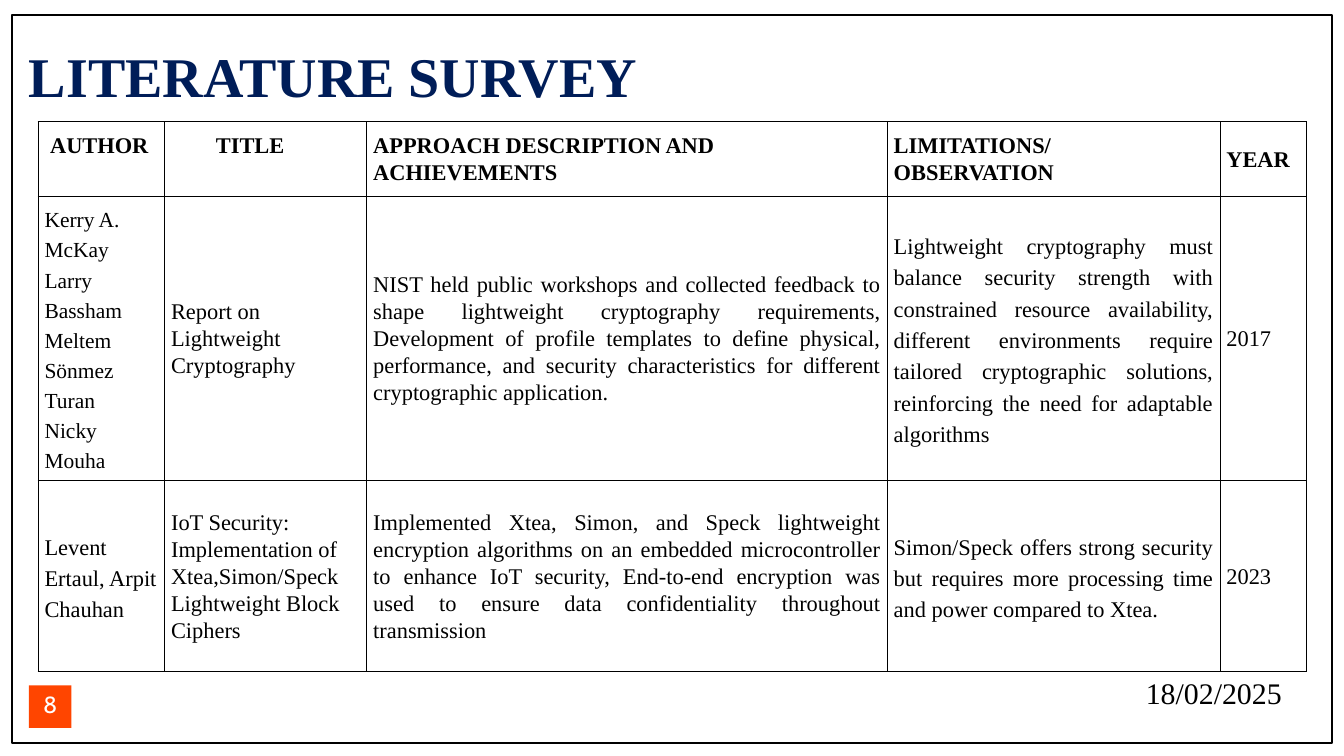
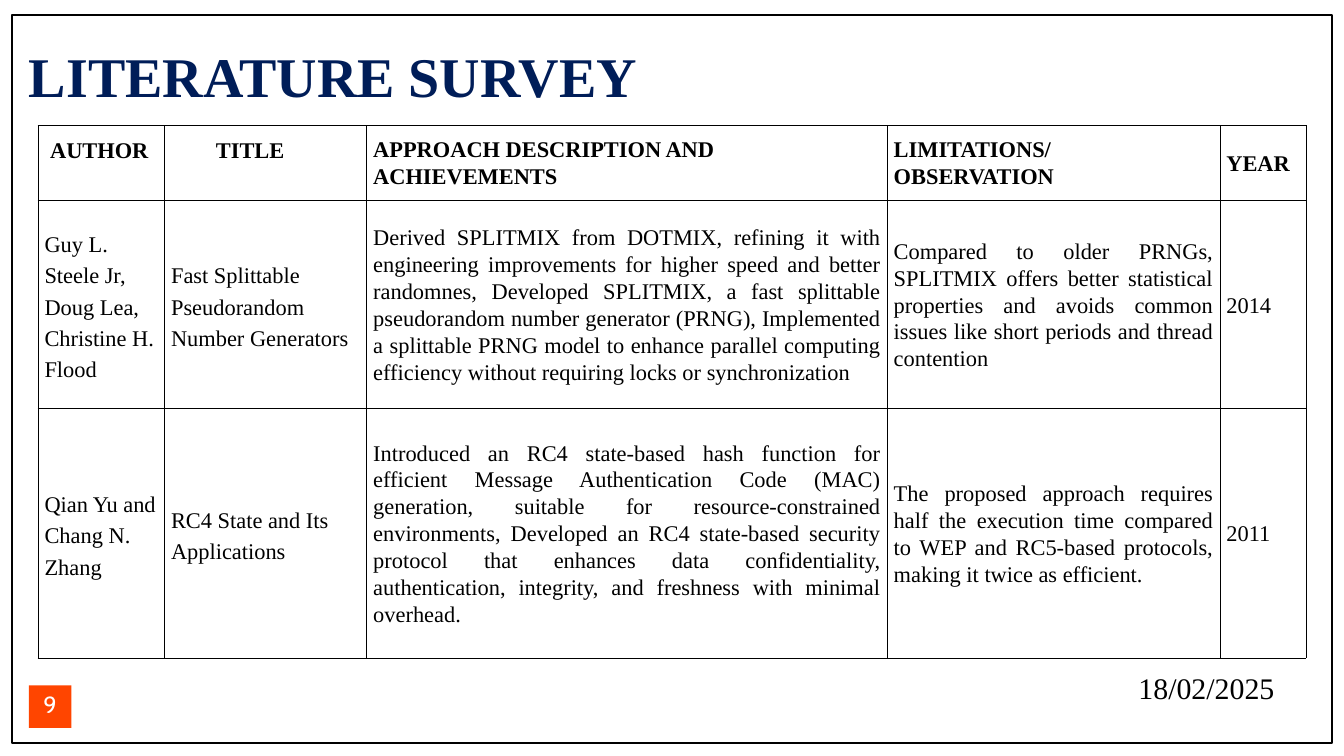
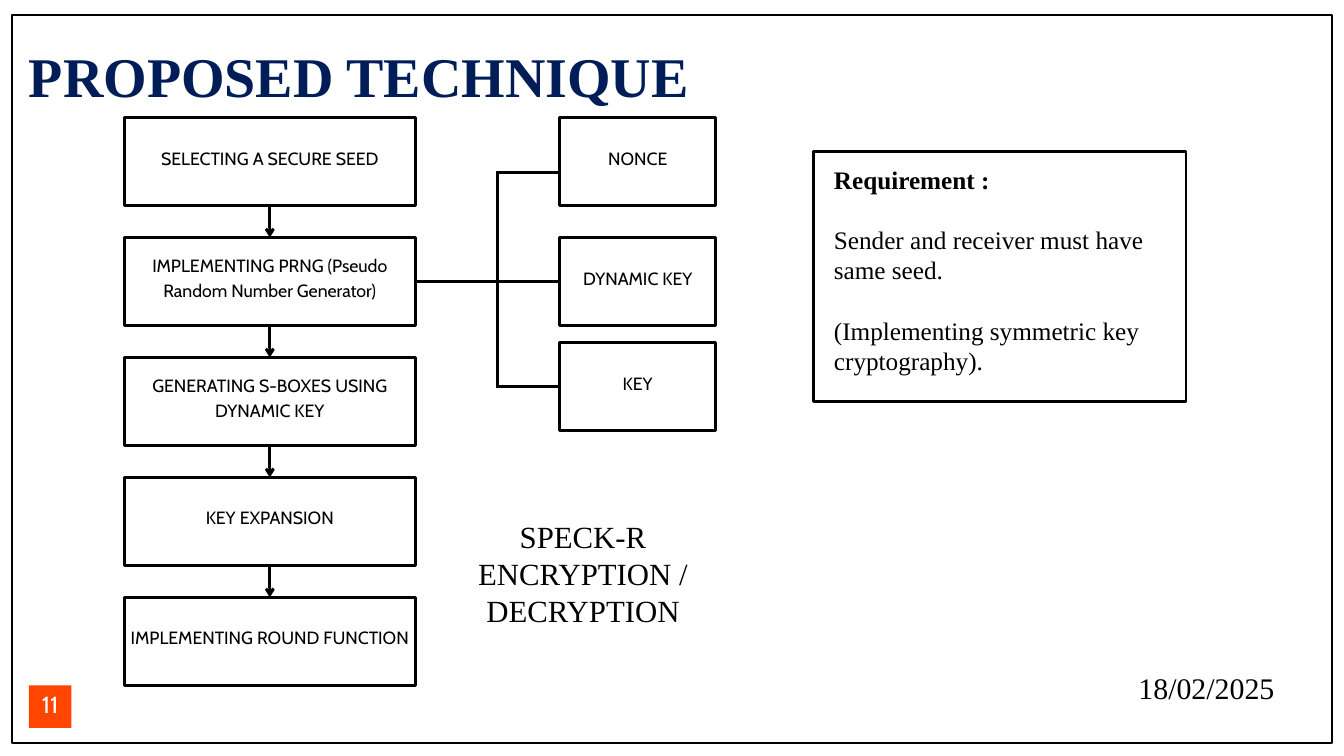
from collections import namedtuple
from itertools import pairwise

from lxml import etree
from pptx import Presentation
from pptx.dml.color import RGBColor
from pptx.enum.shapes import MSO_CONNECTOR, MSO_SHAPE
from pptx.enum.text import MSO_ANCHOR, MSO_AUTO_SIZE, PP_ALIGN
from pptx.oxml.ns import qn
from pptx.util import Pt

BLACK = RGBColor(0x00, 0x00, 0x00)
WHITE = RGBColor(0xFF, 0xFF, 0xFF)
NAVY = RGBColor(0x00, 0x1D, 0x58)
ORANGE = RGBColor(0xFF, 0x45, 0x00)
SERIF = "Times New Roman"
SANS = "Cabin"

TIGHT, LOOSE = 1.2, 1.4  # line pitch as a multiple of the font size
DATE = "18/02/2025"
DATE_POSITION = (1217.7, 711.4)

COLUMN_WIDTHS = (135.6, 216.6, 557.7, 356.4, 92.4)
JUSTIFIED_COLUMNS = (2, 3)
HEADINGS = (
    "AUTHOR",
    "TITLE",
    "APPROACH DESCRIPTION AND ACHIEVEMENTS",
    "LIMITATIONS/\nOBSERVATION",
    "YEAR",
)
HEADING_INDENTS = {0: 6, 1: 48}
CELL_MARGIN = 7.2

BOX_HEIGHT = 94.3
FLOW_LEFT, FLOW_WIDTH = 133.2, 311.8
FLOW_TOP, FLOW_STEP = 126, 128.5
OUTPUT_LEFT, OUTPUT_WIDTH = 599.8, 167
TRUNK_X = 532.8

Cell = namedtuple("Cell", "text leading size", defaults=(TIGHT, 24))

CRYPTOGRAPHY_PAPERS = [
    [
        Cell("Kerry A. McKay\nLarry Bassham\nMeltem Sönmez Turan\nNicky Mouha", LOOSE, 23),
        Cell("Report on Lightweight Cryptography"),
        Cell("NIST held public workshops and collected feedback to shape lightweight "
             "cryptography requirements, Development of profile templates to define "
             "physical, performance, and security characteristics for different "
             "cryptographic application."),
        Cell("Lightweight cryptography must balance security strength with constrained "
             "resource availability, different environments require tailored "
             "cryptographic solutions, reinforcing the need for adaptable algorithms", LOOSE),
        Cell("2017"),
    ],
    [
        Cell("Levent Ertaul, Arpit Chauhan", LOOSE),
        Cell("IoT Security: Implementation of Xtea,Simon/Speck Lightweight Block Ciphers"),
        Cell("Implemented Xtea, Simon, and Speck lightweight encryption algorithms on an "
             "embedded microcontroller to enhance IoT security, End-to-end encryption was "
             "used to ensure data confidentiality throughout transmission"),
        Cell("Simon/Speck offers strong security but requires more processing time and "
             "power compared to Xtea.", LOOSE),
        Cell("2023"),
    ],
]

GENERATOR_PAPERS = [
    [
        Cell("Guy L. Steele Jr,\nDoug Lea,\nChristine H. Flood", LOOSE),
        Cell("Fast Splittable Pseudorandom Number Generators", LOOSE),
        Cell("Derived SPLITMIX from DOTMIX, refining it with engineering improvements for "
             "higher speed and better randomnes, Developed SPLITMIX, a fast splittable "
             "pseudorandom number generator (PRNG), Implemented a splittable PRNG model to "
             "enhance parallel computing efficiency without requiring locks or "
             "synchronization"),
        Cell("Compared to older PRNGs, SPLITMIX offers better statistical properties and "
             "avoids common issues like short periods and thread contention"),
        Cell("2014"),
    ],
    [
        Cell("Qian Yu and Chang N. Zhang", LOOSE),
        Cell("RC4 State and Its Applications", LOOSE),
        Cell("Introduced an RC4 state-based hash function for efficient Message "
             "Authentication Code (MAC) generation, suitable for resource-constrained "
             "environments, Developed an RC4 state-based security protocol that enhances "
             "data confidentiality, authentication, integrity, and freshness with minimal "
             "overhead."),
        Cell("The proposed approach requires half the execution time compared to WEP and "
             "RC5-based protocols, making it twice as efficient."),
        Cell("2011"),
    ],
]

FLOW_STEPS = (
    "SELECTING A SECURE SEED",
    "IMPLEMENTING PRNG (Pseudo Random Number Generator)",
    "GENERATING S-BOXES USING DYNAMIC KEY",
    "KEY EXPANSION",
    "IMPLEMENTING ROUND FUNCTION",
)
# label, top of its box, height at which its branch arrives
OUTPUTS = (("NONCE", 126, 185), ("DYNAMIC KEY", 254.5, 301.65), ("KEY", 367.2, 414.35))


def write_text(text_frame, text, size, font=SERIF, color=BLACK, leading=TIGHT,
               align=PP_ALIGN.LEFT, bold=False):
    text_frame.text = text
    text_frame.word_wrap = True
    for paragraph in text_frame.paragraphs:
        paragraph.alignment = align
        paragraph.line_spacing = Pt(round(size * leading, 1))
        for run in paragraph.runs:
            run.font.name = font
            run.font.size = Pt(size)
            run.font.bold = bold
            run.font.color.rgb = color


def set_margins(target, left, top, right, bottom):
    """Set the inner margins of a text frame or a table cell."""
    target.margin_left, target.margin_top = Pt(left), Pt(top)
    target.margin_right, target.margin_bottom = Pt(right), Pt(bottom)


def add_box(slide, left, top, width, height, fill=None, line_width=None):
    box = slide.shapes.add_shape(
        MSO_SHAPE.RECTANGLE, Pt(left), Pt(top), Pt(width), Pt(height))
    box.shadow.inherit = False
    if fill is None:
        box.fill.background()
    else:
        box.fill.solid()
        box.fill.fore_color.rgb = fill
    if line_width is None:
        box.line.fill.background()
    else:
        box.line.color.rgb = BLACK
        box.line.width = Pt(line_width)
    return box


def add_text(slide, text, left, top, width, height, size, leading):
    text_box = slide.shapes.add_textbox(Pt(left), Pt(top), Pt(width), Pt(height))
    set_margins(text_box.text_frame, 0, 0, 0, 0)
    write_text(text_box.text_frame, text, size, leading=leading, align=PP_ALIGN.CENTER)


def add_line(slide, start, end, arrow=False):
    line = slide.shapes.add_connector(
        MSO_CONNECTOR.STRAIGHT, *(Pt(length) for length in (*start, *end)))
    line.line.color.rgb = BLACK
    line.line.width = Pt(3)
    properties = line.line._get_or_add_ln()
    if arrow:
        etree.SubElement(properties, qn("a:tailEnd"), type="arrow")
    etree.SubElement(line._element.spPr, qn("a:effectLst"))


def add_page(presentation, title, number, date_position=DATE_POSITION):
    """Add a slide with the frame, title, page badge and date that all share."""
    slide = presentation.slides.add_slide(presentation.slide_layouts[5])
    add_box(slide, 13, 15.8, 1414, 780, line_width=2.25)

    heading = slide.shapes.title
    heading.left, heading.top, heading.width, heading.height = Pt(31), Pt(8), Pt(1100), Pt(108.7)
    frame = heading.text_frame
    frame.auto_size = MSO_AUTO_SIZE.NONE
    frame.vertical_anchor = MSO_ANCHOR.BOTTOM
    set_margins(frame, 0, 0, 0, 0)
    write_text(frame, title, 60, color=NAVY, bold=True)

    badge = add_box(slide, 31, 734.4, 45.4, 45.4, fill=ORANGE).text_frame
    badge.vertical_anchor = MSO_ANCHOR.MIDDLE
    set_margins(badge, 4.3, 0, 4.3, 10)
    write_text(badge, number, 25, SANS, WHITE, LOOSE, PP_ALIGN.CENTER)

    add_text(slide, DATE, *date_position, 150, 47.5, 32, LOOSE)
    return slide


def add_cell_borders(cell):
    properties = cell._tc.get_or_add_tcPr()
    for side in ("lnL", "lnR", "lnT", "lnB"):
        border = etree.SubElement(properties, qn(f"a:{side}"), w=str(Pt(0.37)))
        fill = etree.SubElement(border, qn("a:solidFill"))
        etree.SubElement(fill, qn("a:srgbClr"), val=str(BLACK))


def add_survey_table(slide, papers, top, row_heights):
    rows = [[Cell(heading) for heading in HEADINGS], *papers]
    table = slide.shapes.add_table(
        len(rows), len(HEADINGS), Pt(40.5), Pt(top),
        Pt(sum(COLUMN_WIDTHS)), Pt(sum(row_heights))).table
    table.first_row = table.horz_banding = False
    for column, width in zip(table.columns, COLUMN_WIDTHS):
        column.width = Pt(width)
    for row, height in zip(table.rows, row_heights):
        row.height = Pt(height)

    for row_index, row in enumerate(rows):
        is_heading = row_index == 0
        for column_index, content in enumerate(row):
            cell = table.cell(row_index, column_index)
            add_cell_borders(cell)
            cell.fill.background()
            cell.vertical_anchor = MSO_ANCHOR.MIDDLE
            set_margins(cell, *[CELL_MARGIN] * 4)
            justified = column_index in JUSTIFIED_COLUMNS and not is_heading
            write_text(cell.text_frame, content.text, content.size, leading=content.leading,
                       align=PP_ALIGN.JUSTIFY if justified else PP_ALIGN.LEFT, bold=is_heading)

    for column_index, indent in HEADING_INDENTS.items():
        cell = table.cell(0, column_index)
        cell.vertical_anchor = MSO_ANCHOR.TOP
        cell.margin_left = Pt(CELL_MARGIN + indent)
        cell.margin_top = Pt(11.5)


def add_flow_box(slide, label, left, top, width):
    frame = add_box(slide, left, top, width, BOX_HEIGHT, line_width=3).text_frame
    frame.vertical_anchor = MSO_ANCHOR.MIDDLE
    set_margins(frame, 4.3, 4.3, 4.3, 15.8)
    write_text(frame, label, 19, SANS, leading=LOOSE, align=PP_ALIGN.CENTER)


def add_flow(slide):
    tops = [FLOW_TOP + FLOW_STEP * index for index in range(len(FLOW_STEPS))]
    for label, top in zip(FLOW_STEPS, tops):
        add_flow_box(slide, label, FLOW_LEFT, top, FLOW_WIDTH)
    center = FLOW_LEFT + FLOW_WIDTH / 2
    for top, next_top in pairwise(tops):
        add_line(slide, (center, top + BOX_HEIGHT), (center, next_top), arrow=True)


def add_outputs(slide):
    """Add the three values that branch off the generator step."""
    for label, top, branch_y in OUTPUTS:
        add_flow_box(slide, label, OUTPUT_LEFT, top, OUTPUT_WIDTH)
        add_line(slide, (TRUNK_X, branch_y), (OUTPUT_LEFT, branch_y))
    first_y, generator_y, last_y = (branch_y for _, _, branch_y in OUTPUTS)
    add_line(slide, (FLOW_LEFT + FLOW_WIDTH, generator_y), (TRUNK_X, generator_y))
    add_line(slide, (TRUNK_X, first_y - 1.5), (TRUNK_X, last_y + 1.5))


def add_requirement(slide):
    frame = add_box(slide, 871.2, 162, 399.6, 268.6, line_width=3).text_frame
    frame.vertical_anchor = MSO_ANCHOR.TOP
    set_margins(frame, 22.3, 13.7, 0, 0)
    write_text(frame, "Requirement :\nSender and receiver must have same seed.\n"
                      "(Implementing symmetric key cryptography).", 27)
    heading, *statements = frame.paragraphs
    heading.runs[0].font.bold = True
    for statement in statements:
        statement.space_before = Pt(32.4)


def main():
    presentation = Presentation()
    presentation.slide_width, presentation.slide_height = Pt(1440), Pt(810)

    slide = add_page(presentation, "LITERATURE SURVEY", "8", (1225.6, 716.4))
    add_survey_table(slide, CRYPTOGRAPHY_PAPERS, 129.8, (80, 304, 205.5))

    slide = add_page(presentation, "LITERATURE SURVEY", "9")
    add_survey_table(slide, GENERATOR_PAPERS, 134.2, (80.5, 223, 267))

    slide = add_page(presentation, "PROPOSED TECHNIQUE", "11")
    add_flow(slide)
    add_outputs(slide)
    add_requirement(slide)
    add_text(slide, "SPECK-R\nENCRYPTION /\nDECRYPTION", 482.4, 554.4, 284.4, 122.4, 33, TIGHT)

    presentation.save("out.pptx")


if __name__ == "__main__":
    main()
